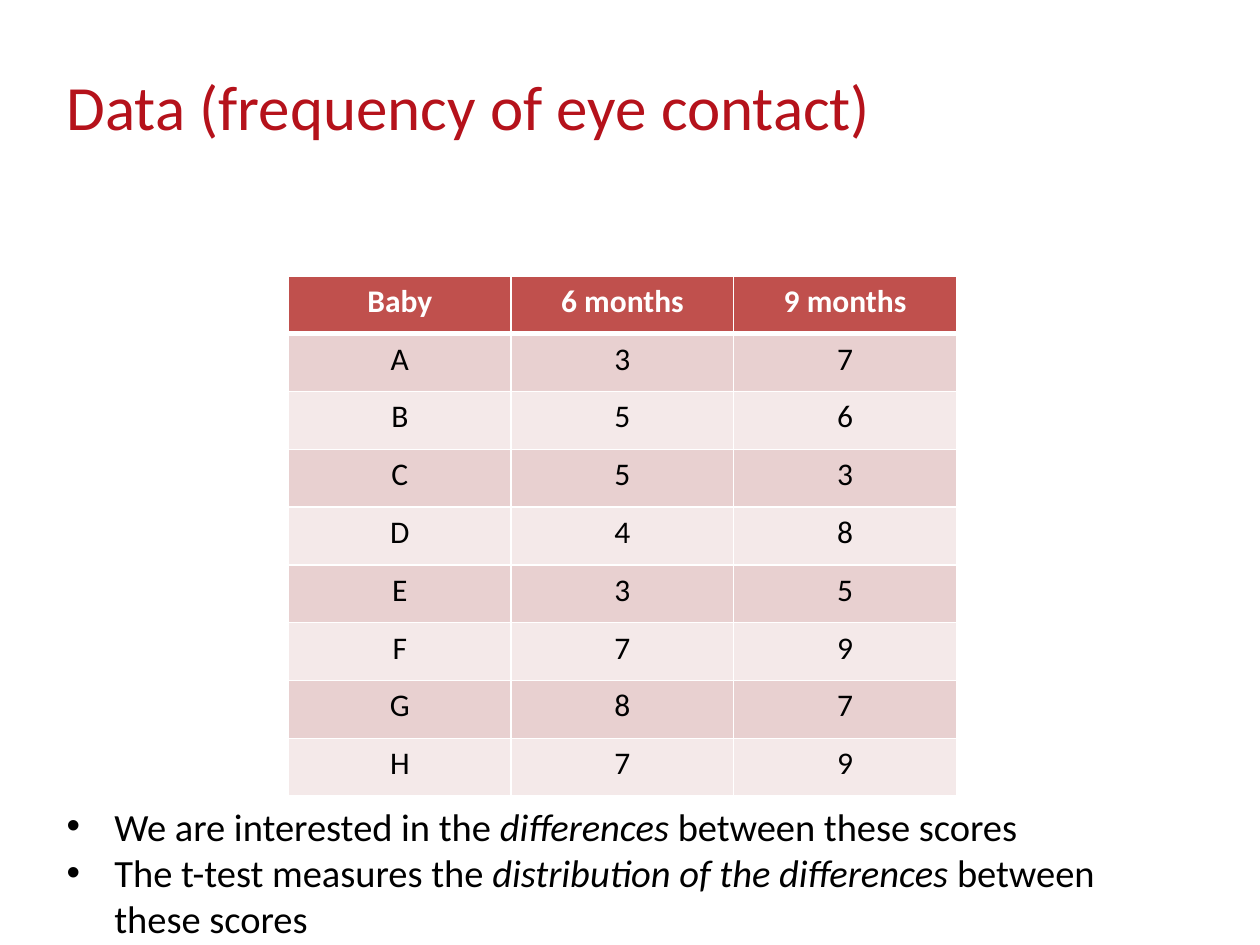
from dataclasses import dataclass

from lxml import etree
from pptx import Presentation
from pptx import util as u
from pptx.dml.color import RGBColor
from pptx.enum import text
from pptx.oxml.ns import qn


@dataclass(frozen=True)
class Theme:
    font: str = "Calibri"
    title: str = "B5121B"
    body: str = "000000"
    white: str = "FFFFFF"
    header: str = "C0504D"
    bands: tuple = ("E8D0D0", "F4E9E9")
    title_size: int = 36
    body_size: int = 22
    table_size: int = 18


THEME = Theme()
SCORES = [
    ("Baby", "6 months", "9 months"),
    ("A", 3, 7),
    ("B", 5, 6),
    ("C", 5, 3),
    ("D", 4, 8),
    ("E", 3, 5),
    ("F", 7, 9),
    ("G", 8, 7),
    ("H", 7, 9),
]
POINTS = [
    [("We are interested in the ", False), ("differences", True),
     (" between these scores", False)],
    [("The t-test measures the ", False),
     ("distribution of the differences ", True),
     ("between these scores", False)],
]


def add_run(p, words, size, color, bold=False, italic=False):
    r = p.add_run()
    r.text = words
    r.font.name = THEME.font
    r.font.size = u.Pt(size)
    r.font.bold = bold
    r.font.italic = italic
    r.font.color.rgb = RGBColor.from_string(color)


def add_text_frame(s, box):
    tf = s.shapes.add_textbox(*map(u.Inches, box)).text_frame
    tf.word_wrap = True
    return tf


def add_title(s, box, words):
    p = add_text_frame(s, box).paragraphs[0]
    p.line_spacing = u.Pt(35)
    add_run(p, words, THEME.title_size, THEME.title)


def add_bullets(s, box, points):
    tf = add_text_frame(s, box)
    indent = u.Inches(0.38)
    for i, point in enumerate(points):
        p = tf.add_paragraph() if i else tf.paragraphs[0]
        pPr = p._p.get_or_add_pPr()
        pPr.set("marL", str(indent))
        pPr.set("indent", str(-indent))
        etree.SubElement(pPr, qn("a:buFont"), typeface="Arial")
        etree.SubElement(pPr, qn("a:buChar"), char="•")
        for words, italic in point:
            add_run(p, words, THEME.body_size, THEME.body, italic=italic)


def set_borders(cell, widths):
    tcPr = cell._tc.get_or_add_tcPr()
    for i, (side, width) in enumerate(widths.items()):
        ln = etree.Element(qn(f"a:ln{side}"), w=str(u.Pt(width)))
        fill = etree.SubElement(ln, qn("a:solidFill"))
        etree.SubElement(fill, qn("a:srgbClr"), val=THEME.white)
        tcPr.insert(i, ln)


def add_score_table(s, box, rows):
    left, top, width, height = map(u.Inches, box)
    table = s.shapes.add_table(
        len(rows), len(rows[0]), left, top, width, height).table
    for i, row in enumerate(rows):
        header = i == 0
        fill = THEME.header if header else THEME.bands[(i - 1) % 2]
        color = THEME.white if header else THEME.body
        borders = {"L": 1, "R": 1, "T": 3 if i == 1 else 1,
                   "B": 3 if header else 1}
        for j, value in enumerate(row):
            cell = table.cell(i, j)
            cell.fill.solid()
            cell.fill.fore_color.rgb = RGBColor.from_string(fill)
            set_borders(cell, borders)
            p = cell.text_frame.paragraphs[0]
            p.alignment = text.PP_ALIGN.CENTER
            add_run(p, str(value), THEME.table_size, color, bold=header)


def main():
    prs = Presentation()
    prs.slide_width, prs.slide_height = u.Inches(10), u.Inches(7.5)
    s = prs.slides.add_slide(prs.slide_layouts[6])
    add_bullets(s, (0.43, 6.32, 8.46, 1.21), POINTS)
    add_score_table(s, (2.29, 2.19, 5.3, 4.13), SCORES)
    add_title(s, (0.43, 0.6, 7.4, 1.26), "Data (frequency of eye contact)")
    prs.save("out.pptx")


if __name__ == "__main__":
    main()
